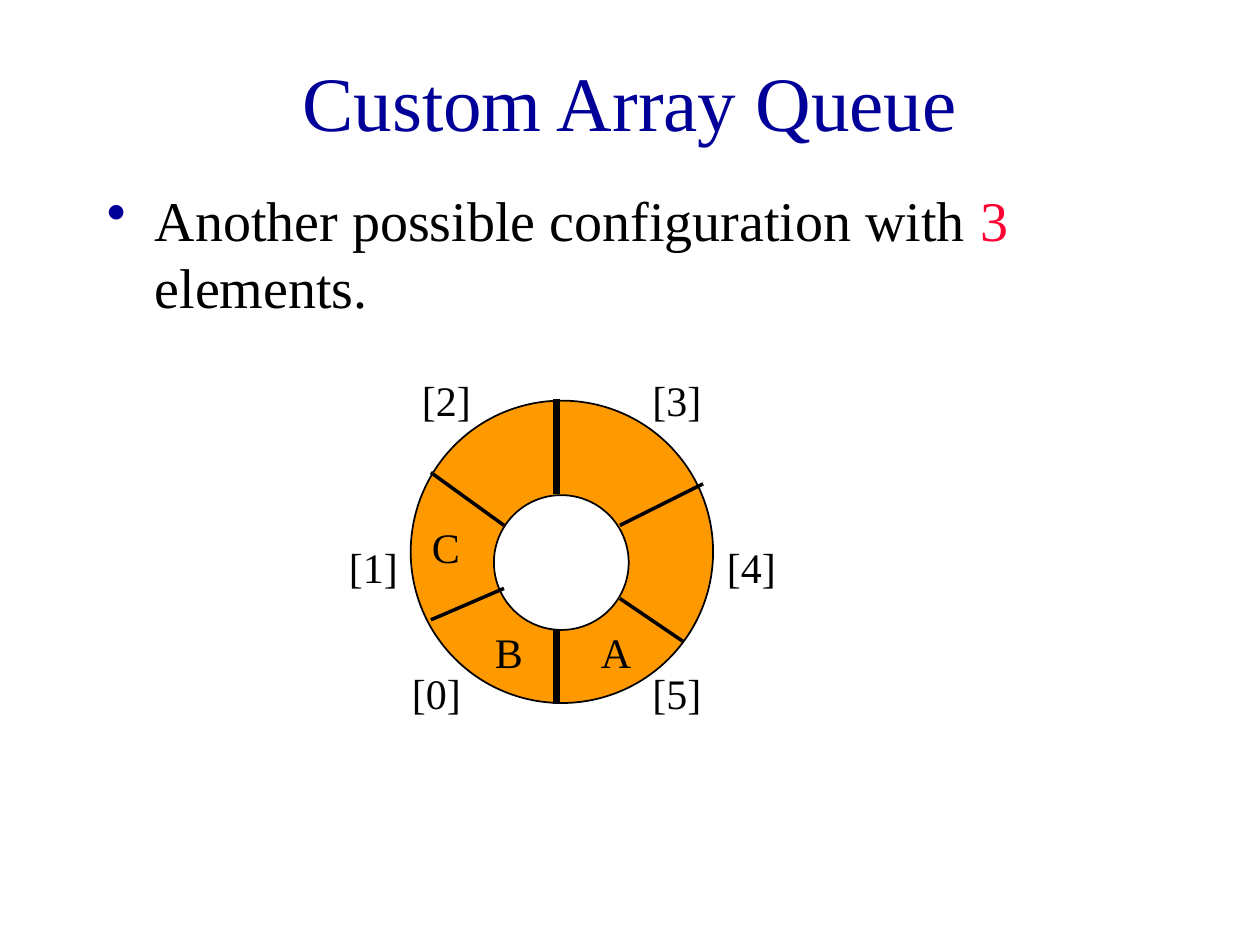
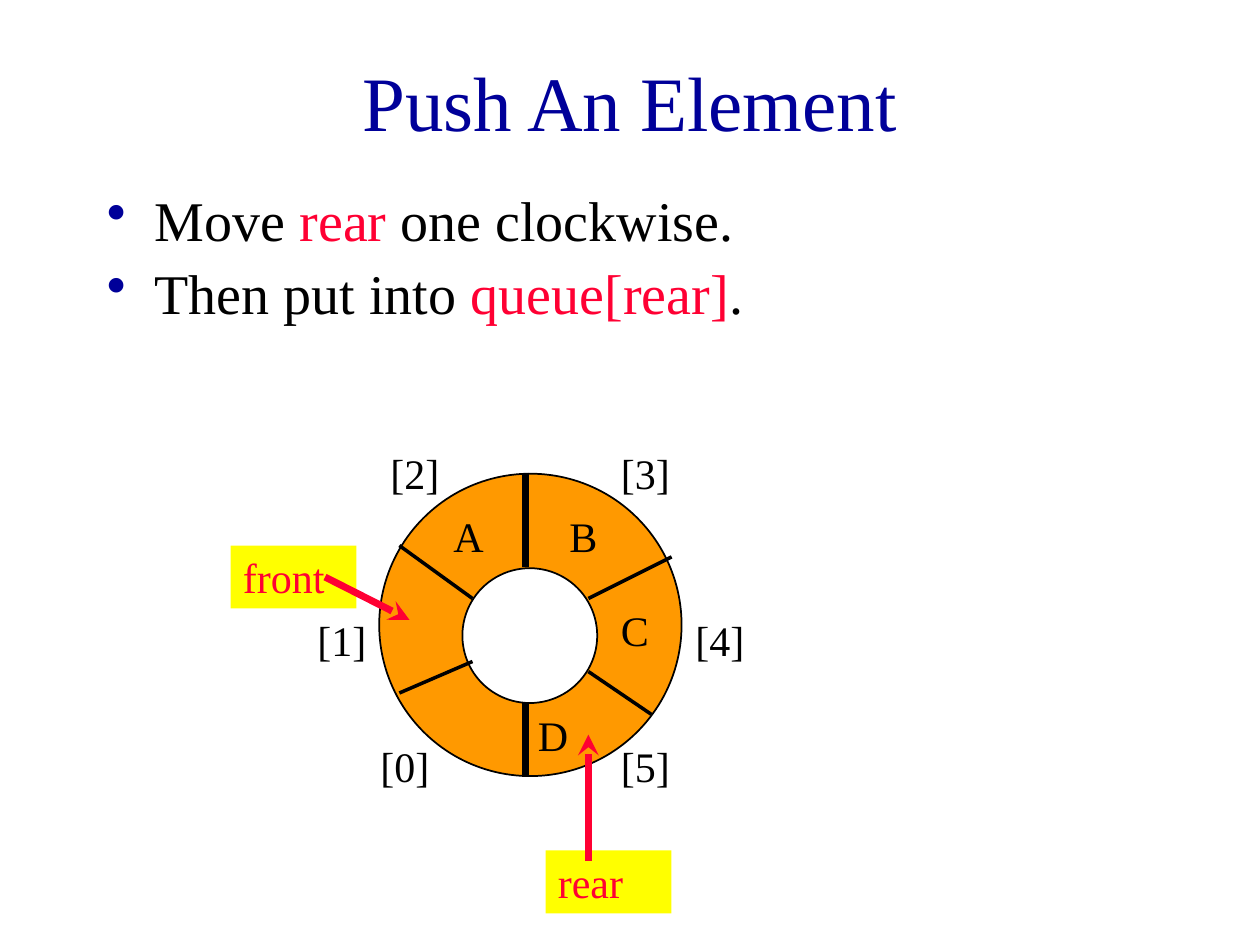
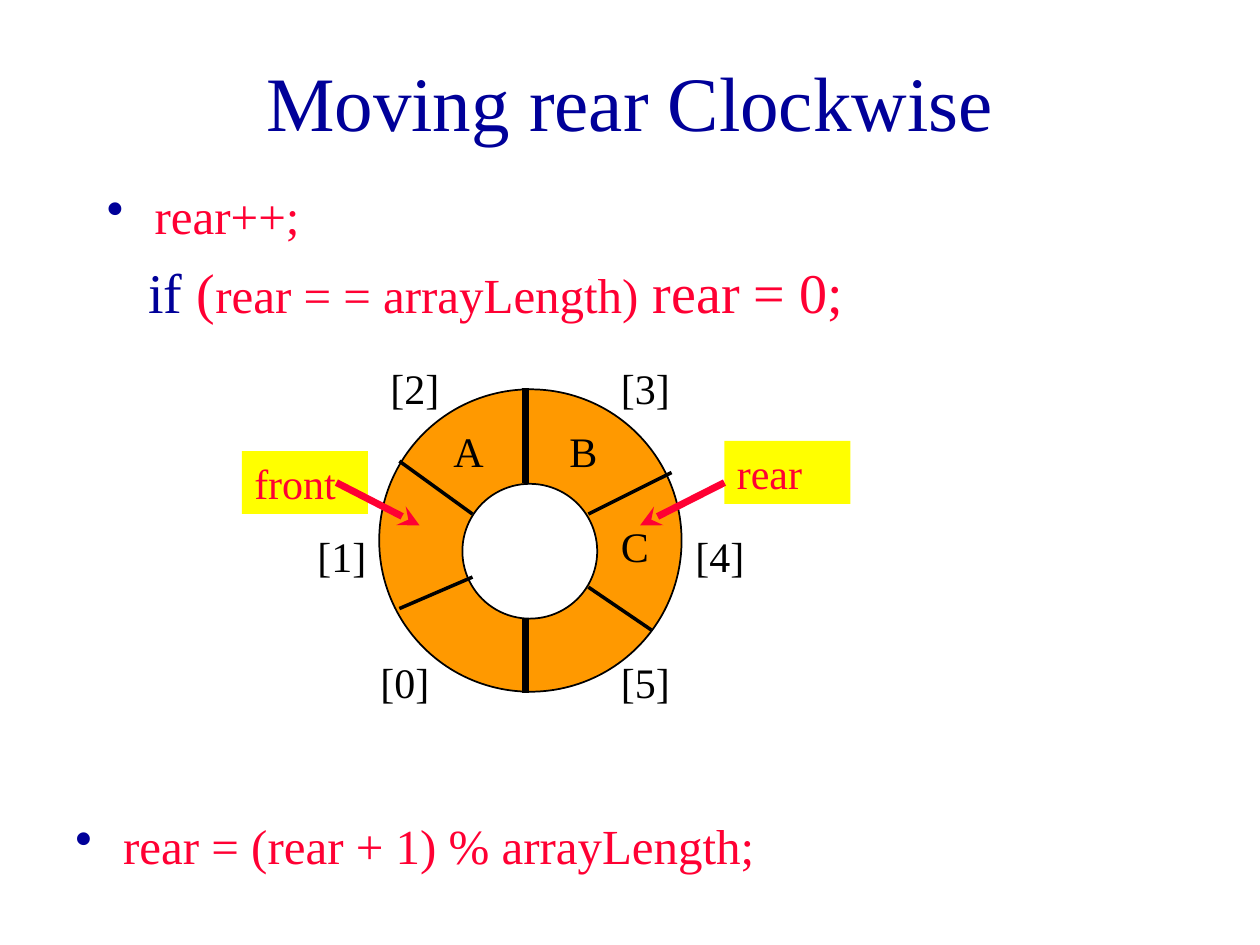
import pptx
import pptx.dml.color
import pptx.enum.shapes
import pptx.enum.text
import pptx.oxml.ns
import pptx.util
from lxml import etree
from pptx.util import Inches

COLORS = {"title": "000099", "text": "000000", "accent": "FF0033",
          "ring": "FF9900", "hole": "FFFFFF", "tag": "FFFF00"}
FONT = "Times New Roman"
HANG = 0.38

# Ring geometry, in inches from the ring's top left corner
DIVIDERS = [
    ((1.17, 0), (1.17, 0.75), 4),
    ((1.17, 1.83), (1.17, 2.42), 4),
    ((0.17, 0.58), (0.75, 1), 2),
    ((0.75, 1.5), (0.17, 1.75), 2),
    ((1.67, 1), (2.33, 0.67), 2),
    ((1.67, 1.58), (2.17, 1.92), 2),
]
INDEX_SPOTS = [(-0.08, 2.08), (-0.58, 1.08), (0, -0.25),
               (1.83, -0.25), (2.42, 1.08), (1.83, 2.08)]
LETTER_SPOTS = [(0.58, 1.75), (0.08, 0.92), (0.5, 0.25),
                (1.42, 0.25), (1.83, 1), (1.42, 1.75)]


def rgb(name):
    return pptx.dml.color.RGBColor.from_string(COLORS[name])


def add_bullet(p):
    pPr = p._p.get_or_add_pPr()
    clr = etree.SubElement(pPr, pptx.oxml.ns.qn("a:buClr"))
    etree.SubElement(clr, pptx.oxml.ns.qn("a:srgbClr"), val=COLORS["title"])
    etree.SubElement(pPr, pptx.oxml.ns.qn("a:buChar"), char="•")


def set_indent(p, margin, first):
    pPr = p._p.get_or_add_pPr()
    pPr.set("marL", str(Inches(margin)))
    pPr.set("indent", str(Inches(first)))


def write(p, runs, size=24, color="text", align="LEFT", bullet=False,
          margin=0, first=0, before=0):
    """Fill a paragraph; a run is a string or (string, color[, size])."""
    if bullet:
        add_bullet(p)
        margin, first = HANG, -HANG
    set_indent(p, margin, first)
    p.alignment = getattr(pptx.enum.text.PP_ALIGN, align)
    if before:
        p.space_before = pptx.util.Pt(before)
    for run in [runs] if isinstance(runs, str) else runs:
        text, run_color, run_size = (
            (run, color, size) if isinstance(run, str) else (*run, size)[:3])
        r = p.add_run()
        r.text = text
        r.font.name = FONT
        r.font.size = pptx.util.Pt(run_size)
        r.font.color.rgb = rgb(run_color)


def add_text(s, x, y, w, h, runs, anchor="TOP", **fmt):
    sp = s.shapes.add_textbox(Inches(x), Inches(y), Inches(w), Inches(h))
    tf = sp.text_frame
    tf.word_wrap = True
    tf.vertical_anchor = getattr(pptx.enum.text.MSO_ANCHOR, anchor)
    write(tf.paragraphs[0], runs, **fmt)
    return sp


def add_circle(s, x, y, size, fill):
    sp = s.shapes.add_shape(pptx.enum.shapes.MSO_SHAPE.OVAL, Inches(x),
                            Inches(y), Inches(size), Inches(size))
    sp.shadow.inherit = False
    sp.fill.solid()
    sp.fill.fore_color.rgb = rgb(fill)
    sp.line.color.rgb = rgb("text")
    sp.line.width = pptx.util.Pt(1)


def add_line(s, start, end, width, color="text", arrow=False):
    sp = s.shapes.add_connector(
        pptx.enum.shapes.MSO_CONNECTOR.STRAIGHT,
        *(Inches(v) for v in (*start, *end)))
    sp.line.color.rgb = rgb(color)
    sp.line.width = pptx.util.Pt(width)
    if arrow:
        etree.SubElement(sp.line._get_or_add_ln(),
                         pptx.oxml.ns.qn("a:tailEnd"), type="stealth")
    etree.SubElement(sp._element.spPr, pptx.oxml.ns.qn("a:effectLst"))


def add_ring(s, x, y, letters):
    """Draw the circular queue; letters maps a slot to its element."""
    add_circle(s, x + 0.01, y + 0.01, 2.4, "ring")
    add_circle(s, x + 0.67, y + 0.76, 1.07, "hole")
    for (x1, y1), (x2, y2), width in DIVIDERS:
        add_line(s, (x + x1, y + y1), (x + x2, y + y2), width)
    for i, (dx, dy) in enumerate(INDEX_SPOTS):
        add_text(s, x + dx, y + dy, 0.92, 0.5, f"[{i}]")
    for slot, letter in letters.items():
        dx, dy = LETTER_SPOTS[slot]
        add_text(s, x + dx, y + dy, 0.67, 0.5, letter)


def add_pointer(s, name, x, y, start, end):
    """Draw a tag with an arrow into the ring."""
    sp = add_text(s, x, y, 1, 0.5, name, color="accent")
    sp.fill.solid()
    sp.fill.fore_color.rgb = rgb("tag")
    add_line(s, start, end, 4, color="accent", arrow=True)


def add_slide(prs, title):
    s = prs.slides.add_slide(prs.slide_layouts[6])
    add_text(s, 0.75, 0.17, 8.5, 1.25, title, anchor="MIDDLE",
             size=44, color="title", align="CENTER")
    return s


def main():
    prs = pptx.Presentation()
    prs.slide_width, prs.slide_height = Inches(10), Inches(7.5)

    # Three elements, wrapped past the end of the array
    s = add_slide(prs, "Custom Array Queue")
    add_text(s, 0.75, 1.42, 8.5, 0.5,
             ["Another possible configuration with ", ("3 ", "accent"),
              "elements."], size=32, bullet=True)
    add_ring(s, 3.25, 3.17, {5: "A", 0: "B", 1: "C"})

    # Push
    s = add_slide(prs, "Push An Element")
    add_text(s, 0.75, 1.42, 9, 0.5,
             ["Move ", ("rear ", "accent"), "one clockwise."],
             size=32, bullet=True)
    add_text(s, 0.75, 2, 9, 0.5,
             ["Then put into ", ("queue[rear]", "accent"), "."],
             size=32, bullet=True)
    add_ring(s, 3, 3.75, {2: "A", 3: "B", 4: "C"})
    add_pointer(s, "front", 1.83, 4.33, (2.58, 4.58), (3.25, 4.92))
    add_pointer(s, "rear", 4.33, 6.75, (4.67, 6.83), (4.67, 5.83))
    add_text(s, 4.17, 5.58, 0.67, 0.5, "D")

    # Moving rear
    s = add_slide(prs, "Moving rear Clockwise")
    add_ring(s, 3, 3.08, {2: "A", 3: "B", 4: "C"})
    add_pointer(s, "front", 1.92, 3.58, (2.67, 3.83), (3.33, 4.17))
    add_pointer(s, "rear", 5.75, 3.5, (5.75, 3.83), (5.08, 4.17))
    sp = add_text(s, 0.75, 1.42, 9, 1.25, "rear++;", size=28,
                  color="accent", bullet=True)
    write(sp.text_frame.add_paragraph(),
          [("if ", "title"), "(", ("rear = = arrayLength)", "accent", 28),
           " rear = 0;"],
          size=32, color="accent", margin=HANG, first=-0.05, before=8)
    add_text(s, 0.5, 6.42, 9, 0.75, "rear = (rear + 1) % arrayLength;",
             size=28, color="accent", bullet=True)

    prs.save("out.pptx")


if __name__ == "__main__":
    main()
